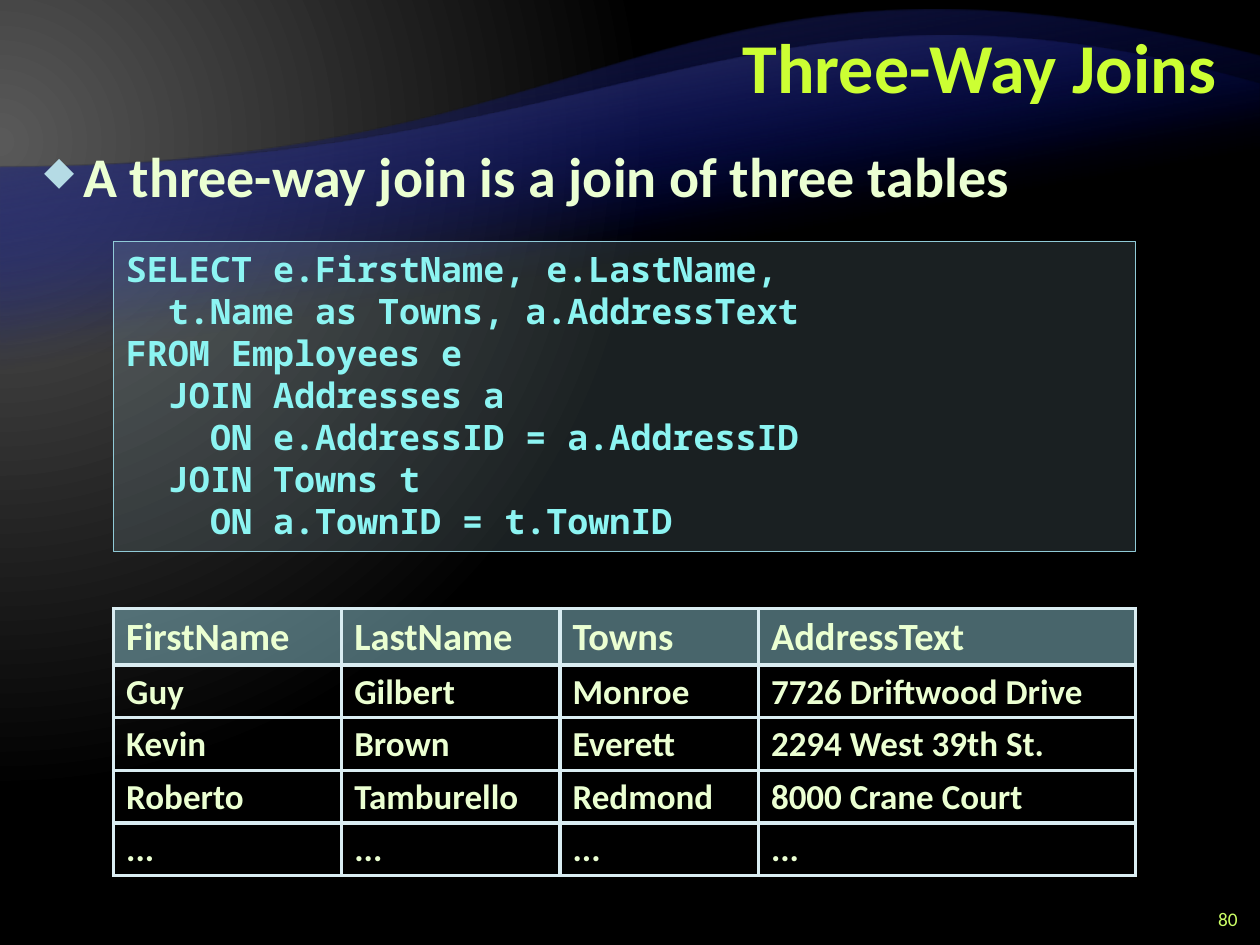
from dataclasses import dataclass

from lxml import etree
from pptx import Presentation
from pptx.dml.color import RGBColor
from pptx.enum.shapes import MSO_SHAPE
from pptx.enum.text import MSO_ANCHOR, MSO_AUTO_SIZE, PP_ALIGN
from pptx.oxml import parse_xml
from pptx.oxml.ns import nsdecls, qn
from pptx.util import Cm, Pt

RECTANGLE = MSO_SHAPE.RECTANGLE
MIDDLE, TOP = MSO_ANCHOR.MIDDLE, MSO_ANCHOR.TOP
LEFT, RIGHT = PP_ALIGN.LEFT, PP_ALIGN.RIGHT
FIXED_SIZE, FIT_TEXT = MSO_AUTO_SIZE.NONE, MSO_AUTO_SIZE.SHAPE_TO_FIT_TEXT
TITLE_ONLY = 5


@dataclass(frozen=True)
class Theme:
    text_font: str = "Calibri"
    code_font: str = "Noto Sans Mono"
    title: str = "CCFF33"
    text: str = "EBFFD2"
    bullet: str = "B5DBE5"
    code: str = "8CF4F2"
    accent: str = "90CAD7"
    border: str = "DAEDF2"
    number: str = "CCFF66"
    night: str = "000000"
    wave: str = "000D9E"
    wave_shade: str = "262626"
    glow: str = "595959"
    title_size: int = 40
    body_size: int = 32
    header_size: int = 22
    small_size: int = 20
    number_size: int = 11


class SlideBuilder:
    def __init__(self, prs, theme):
        self.theme = theme
        self.slide = prs.slides.add_slide(prs.slide_layouts[TITLE_ONLY])
        self.shapes = self.slide.shapes

    def add_text(self, paragraph, text, size, color, bold=True, font=None, align=LEFT):
        paragraph.alignment = align
        run = paragraph.add_run()
        run.text = text
        run.font.name = font or self.theme.text_font
        run.font.size = Pt(size)
        run.font.bold = bold
        run.font.color.rgb = RGBColor.from_string(color)

    def set_alpha(self, properties, percent):
        color = properties.find(qn("a:solidFill")).find(qn("a:srgbClr"))
        etree.SubElement(color, qn("a:alpha")).set("val", str(percent * 1000))

    def set_gradient(self, properties, stops, direction):
        """Replace the empty fill; stops are (position, colour, opacity)."""
        stop_xml = "".join(
            f'<a:gs pos="{position * 1000}"><a:srgbClr val="{color}">'
            f'<a:alpha val="{opacity * 1000}"/></a:srgbClr></a:gs>'
            for position, color, opacity in stops)
        gradient = parse_xml(
            f'<a:gradFill {nsdecls("a")} rotWithShape="1">'
            f"<a:gsLst>{stop_xml}</a:gsLst>{direction}</a:gradFill>")
        properties.replace(properties.find(qn("a:noFill")), gradient)

    def background(self):
        self.slide.background.fill.background()
        self.set_gradient(
            self.slide._element.cSld.bg.bgPr,
            [(0, self.theme.glow, 100), (83, self.theme.night, 100)],
            '<a:path path="circle"><a:fillToRect l="20000" t="30000" '
            'r="135000" b="100000"/></a:path>')

    def wave(self, curve, bottom, shade, steps=60):
        """Fill the area under a Bezier curve given by four points in cm."""
        crest = []
        for step in range(steps + 1):
            t = step / steps
            weights = ((1 - t) ** 3, 3 * t * (1 - t) ** 2, 3 * t * t * (1 - t), t ** 3)
            crest.append(tuple(
                int(Cm(sum(w * point[axis] for w, point in zip(weights, curve))))
                for axis in (0, 1)))
        corners = [(Cm(curve[3][0]), Cm(bottom)), (Cm(curve[0][0]), Cm(bottom))]
        outline = self.shapes.build_freeform(*crest[0])
        outline.add_line_segments(crest[1:] + corners, close=True)
        wave = outline.convert_to_shape()
        wave.shadow.inherit = False
        wave.fill.background()
        self.set_gradient(
            wave._element.spPr,
            [(65, self.theme.wave, 0), (100, shade, 100)],
            '<a:lin ang="15600000" scaled="0"/>')
        wave.line.fill.background()

    def title(self, text, left, top, width, height):
        title = self.shapes.title
        title.left, title.top, title.width, title.height = map(
            Cm, (left, top, width, height))
        # Bring the title in front of the waves
        self.shapes._spTree.append(title._element)
        frame = title.text_frame
        frame.vertical_anchor = MIDDLE
        frame.auto_size = FIXED_SIZE
        paragraph = frame.paragraphs[0]
        paragraph.line_spacing = Pt(40)
        self.add_text(paragraph, text, self.theme.title_size, self.theme.title, align=RIGHT)

    def text_box(self, left, top, width, height, anchor=TOP):
        frame = self.shapes.add_textbox(*map(Cm, (left, top, width, height))).text_frame
        frame.word_wrap = True
        frame.vertical_anchor = anchor
        return frame.paragraphs[0]

    def bullet(self, text, left, top, width, height):
        paragraph = self.text_box(left, top, width, height)
        properties = paragraph._p.get_or_add_pPr()
        indent = Cm(0.79)
        properties.set("marL", str(indent))
        properties.set("indent", str(-indent))
        color = etree.SubElement(properties, qn("a:buClr"))
        etree.SubElement(color, qn("a:srgbClr")).set("val", self.theme.bullet)
        etree.SubElement(properties, qn("a:buSzPct")).set("val", "70000")
        etree.SubElement(properties, qn("a:buChar")).set("char", "◆")
        paragraph.line_spacing = Pt(38)
        paragraph.space_after = Pt(6)
        self.add_text(paragraph, text, self.theme.body_size, self.theme.text)

    def code(self, lines, left, top, width, height):
        panel = self.shapes.add_shape(RECTANGLE, *map(Cm, (left, top, width, height)))
        panel.shadow.inherit = False
        panel.fill.solid()
        panel.fill.fore_color.rgb = RGBColor.from_string(self.theme.bullet)
        self.set_alpha(panel._element.spPr, 15)
        panel.line.color.rgb = RGBColor.from_string(self.theme.accent)
        panel.line.width = Pt(1)
        frame = panel.text_frame
        frame.word_wrap = True
        frame.auto_size = FIT_TEXT
        frame.vertical_anchor = TOP
        for index, line in enumerate(lines):
            paragraph = frame.add_paragraph() if index else frame.paragraphs[0]
            self.add_text(paragraph, line, self.theme.small_size, self.theme.code,
                          font=self.theme.code_font)

    def cell_borders(self, cell):
        properties = cell._tc.get_or_add_tcPr()
        for index, side in enumerate(("lnL", "lnR", "lnT", "lnB")):
            properties.insert(index, parse_xml(
                f'<a:{side} {nsdecls("a")} w="{Pt(2.25)}"><a:solidFill>'
                f'<a:srgbClr val="{self.theme.border}"/></a:solidFill></a:{side}>'))

    def table(self, records, left, top, column_widths, header_height, row_height):
        heights = [header_height] + [row_height] * (len(records) - 1)
        table = self.shapes.add_table(
            len(records), len(column_widths), Cm(left), Cm(top),
            Cm(sum(column_widths)), Cm(sum(heights))).table
        table.first_row = table.horz_banding = False
        for column, width in zip(table.columns, column_widths):
            column.width = Cm(width)
        for index, (row, record) in enumerate(zip(table.rows, records)):
            row.height = Cm(heights[index])
            size = self.theme.small_size if index else self.theme.header_size
            for cell, value in zip(row.cells, record):
                if index:
                    cell.fill.background()
                else:
                    cell.fill.solid()
                    cell.fill.fore_color.rgb = RGBColor.from_string(self.theme.accent)
                    self.set_alpha(cell._tc.tcPr, 50)
                self.cell_borders(cell)
                paragraph = cell.text_frame.paragraphs[0]
                paragraph.line_spacing = 0.95
                self.add_text(paragraph, value, size, self.theme.text)

    def page_number(self, text, left, top, width, height):
        self.add_text(self.text_box(left, top, width, height, MIDDLE), text,
                      self.theme.number_size, self.theme.number, bold=False, align=RIGHT)


def main():
    prs = Presentation()
    prs.slide_width, prs.slide_height = Cm(25.4), Cm(19.05)
    theme = Theme()
    builder = SlideBuilder(prs, theme)
    # Backdrop
    builder.background()
    builder.wave([(0, 3.38), (12.7, 3.38), (13.56, -1.9), (25.4, 1.14)], 16.59,
                 theme.wave_shade)
    builder.wave([(0, 3.38), (12.7, 3.38), (15.19, -1.24), (25.4, 1.7)], 14.15, theme.glow)
    # Heading and definition
    builder.title("Three-Way Joins", 5.08, 0.2, 19.69, 2.54)
    builder.bullet("A three-way join is a join of three tables", 0.64, 2.74, 24.13, 15.88)
    # Query and its result
    margin = 2.29
    query = ["SELECT e.FirstName, e.LastName,", "  t.Name as Towns, a.AddressText",
             "FROM Employees e", "  JOIN Addresses a", "    ON e.AddressID = a.AddressID",
             "  JOIN Towns t", "    ON a.TownID = t.TownID"]
    builder.code(query, margin, 4.87, 20.6, 6.25)
    result = [("FirstName", "LastName", "Towns", "AddressText"),
              ("Guy", "Gilbert", "Monroe", "7726 Driftwood Drive"),
              ("Kevin", "Brown", "Everett", "2294 West 39th St."),
              ("Roberto", "Tamburello", "Redmond", "8000 Crane Court"), ("...",) * 4]
    builder.table(result, margin, 12.27, (4.6, 4.4, 4, 7.6), 1.14, 1.06)
    # Footer
    builder.page_number("80", 23.93, 18.21, 1.27, 0.64)
    prs.save("out.pptx")


if __name__ == "__main__":
    main()
